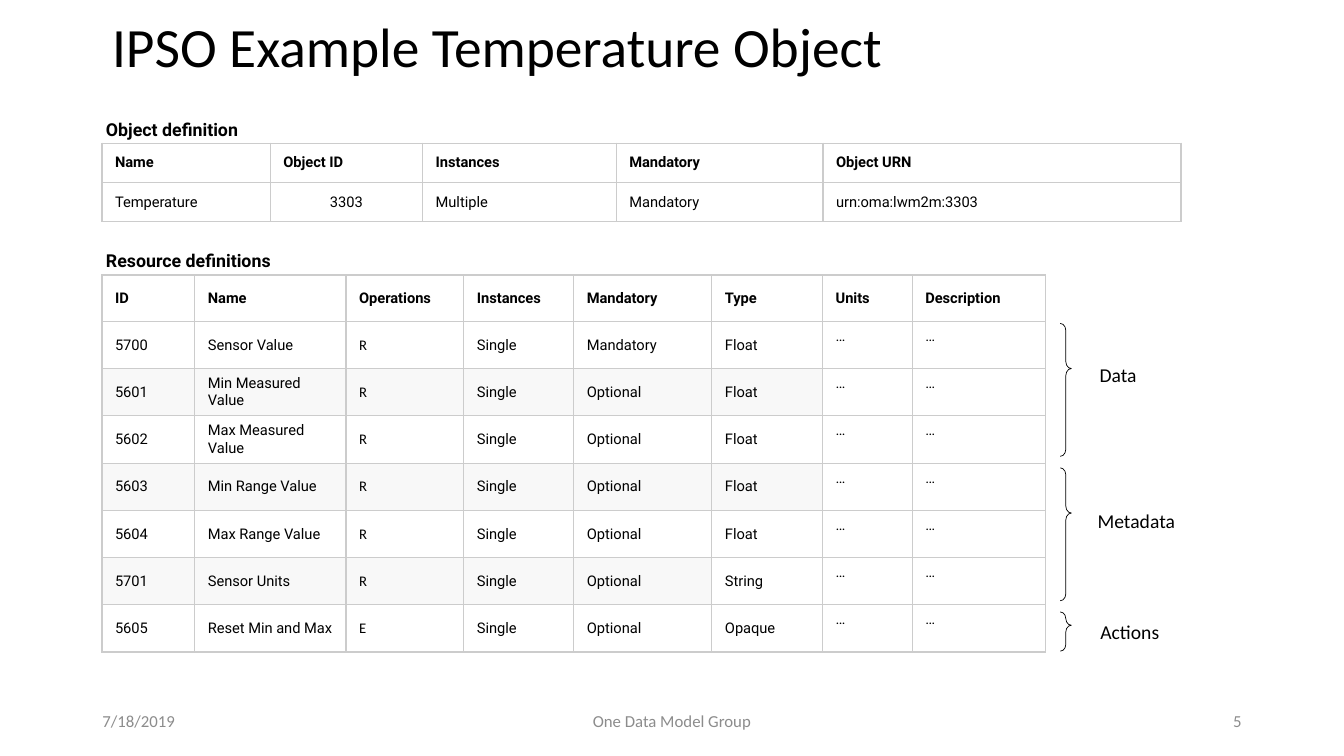
from lxml import etree
from pptx import Presentation
from pptx import util as u
from pptx.dml.color import RGBColor
from pptx.enum import shapes, text
from pptx.oxml.ns import qn

BLACK = RGBColor(0x00, 0x00, 0x00)
GRAY = RGBColor(0x8C, 0x8C, 0x8C)
RULE = RGBColor(0xCC, 0xCC, 0xCC)
SHADE = RGBColor(0xF8, 0xF8, 0xF8)
LEFT, MID, RIGHT = text.PP_ALIGN.LEFT, text.PP_ALIGN.CENTER, text.PP_ALIGN.RIGHT
TOP, CENTER = text.MSO_ANCHOR.TOP, text.MSO_ANCHOR.MIDDLE


def write(frame, words, size=10.5, font="Roboto", color=BLACK, bold=False, align=LEFT):
    para = frame.paragraphs[0]
    para.alignment = align
    run = para.add_run()
    run.text = words
    run.font.size = u.Pt(size)
    run.font.name = font
    run.font.bold = bold
    run.font.color.rgb = color
    return para


def grid(left, top, widths, heights, rows):
    frame = slide.shapes.add_table(len(rows), len(widths), u.Cm(left), u.Cm(top),
                                   u.Cm(sum(widths)), u.Cm(sum(heights)))
    table = frame.table
    table.first_row = table.horz_banding = False
    for col, width in zip(table.columns, widths):
        col.width = u.Cm(width)
    for r, row in enumerate(rows):
        table.rows[r].height = u.Cm(heights[r])
        for c, words in enumerate(row):
            cell = table.cell(r, c)
            cell.margin_left = cell.margin_right = u.Cm(0.33)
            cell.margin_top = cell.margin_bottom = u.Cm(0.16)
            cell.vertical_anchor = TOP if words == "…" else CENTER
            write(cell.text_frame, words, bold=r == 0,
                  font="Calibri" if words in ("R", "E") else "Roboto",
                  align=MID if words == "3303" else LEFT)
            # Borders come before the fill
            props = cell._tc.get_or_add_tcPr()
            for side in ("lnL", "lnR", "lnT", "lnB"):
                line = etree.SubElement(props, qn("a:" + side), w=str(u.Pt(1)))
                fill = etree.SubElement(line, qn("a:solidFill"))
                etree.SubElement(fill, qn("a:srgbClr"), val=str(RULE))
            cell.fill.background()
    return table


deck = Presentation()
deck.slide_width, deck.slide_height = u.Cm(33.87), u.Cm(19.05)
slide = deck.slides.add_slide(deck.slide_layouts[5])

# Title
title = slide.shapes.title
title.left, title.top, title.width, title.height = u.Cm(2.57), u.Cm(0.64), u.Cm(29.77), u.Cm(1.6)
title.text_frame.auto_size = text.MSO_AUTO_SIZE.NONE
title.text_frame.vertical_anchor = TOP
para = write(title.text_frame, "IPSO Example Temperature Object", size=39.6, font="Calibri")
para.line_spacing = 0.7

# Object table
grid(2.57, 3.61, [4.24, 3.84, 4.88, 5.21, 9.02], [0.99] * 2, [
    ("Name", "Object ID", "Instances", "Mandatory", "Object URN"),
    ("Temperature", "3303", "Multiple", "Mandatory", "urn:oma:lwm2m:3303"),
])

# Resource table
items = [
    ("5700", "Sensor Value", "R", "Mandatory", "Float"),
    ("5601", "Min Measured Value", "R", "Optional", "Float"),
    ("5602", "Max Measured Value", "R", "Optional", "Float"),
    ("5603", "Min Range Value", "R", "Optional", "Float"),
    ("5604", "Max Range Value", "R", "Optional", "Float"),
    ("5701", "Sensor Units", "R", "Optional", "String"),
    ("5605", "Reset Min and Max", "E", "Optional", "Opaque"),
]
rows = [("ID", "Name", "Operations", "Instances", "Mandatory", "Type", "Units", "Description")]
rows += [(code, name, mode, "Single", need, kind, "…", "…")
         for code, name, mode, need, kind in items]
table = grid(2.57, 6.93, [2.34, 3.81, 2.97, 2.77, 3.48, 2.79, 2.26, 3.35],
             [1.17] + [1.19] * len(items), rows)
for r in range(2, len(rows), 2):
    for c in range(6 if rows[r][5] == "Float" else 5):
        fill = table.cell(r, c).fill
        fill.solid()
        fill.fore_color.rgb = SHADE

# Headings, group names and footer
head = dict(size=12.7, bold=True)
group = dict(size=14, font="Calibri")
foot = dict(size=12, font="Calibri", color=GRAY)
labels = [
    ("Object definition", 2.57, 2.9, 6, 0.74, 0.1, CENTER, head),
    ("Resource definitions", 2.57, 6.2, 6, 0.74, 0.1, CENTER, head),
    ("Data", 27.46, 9.02, 3, 0.86, 0.25, TOP, group),
    ("Metadata", 27.41, 12.7, 3, 0.86, 0.25, TOP, group),
    ("Actions", 27.48, 15.49, 3, 0.86, 0.25, TOP, group),
    ("7/18/2019", 2.33, 17.65, 7.62, 1.02, 0.25, CENTER, foot),
    ("One Data Model Group", 11.22, 17.65, 11.43, 1.02, 0.25, CENTER, dict(foot, align=MID)),
    ("5", 23.92, 17.65, 7.62, 1.02, 0.25, CENTER, dict(foot, align=RIGHT)),
]
for words, left, top, width, height, pad, anchor, form in labels:
    frame = slide.shapes.add_textbox(u.Cm(left), u.Cm(top), u.Cm(width), u.Cm(height)).text_frame
    frame.word_wrap = True
    frame.margin_left = frame.margin_right = u.Cm(pad)
    frame.vertical_anchor = anchor
    write(frame, words, **form)

# Braces around the row groups
for top, height in ((8.15, 3.35), (11.79, 3.35), (15.42, 0.99)):
    brace = slide.shapes.add_shape(shapes.MSO_SHAPE.RIGHT_BRACE, u.Cm(26.72), u.Cm(top),
                                   u.Cm(0.28), u.Cm(height))
    brace.adjustments[0], brace.adjustments[1] = 0.63, 0.34
    brace.shadow.inherit = False
    brace.fill.background()
    brace.line.color.rgb = BLACK
    brace.line.width = u.Pt(0.5)

deck.save("out.pptx")
